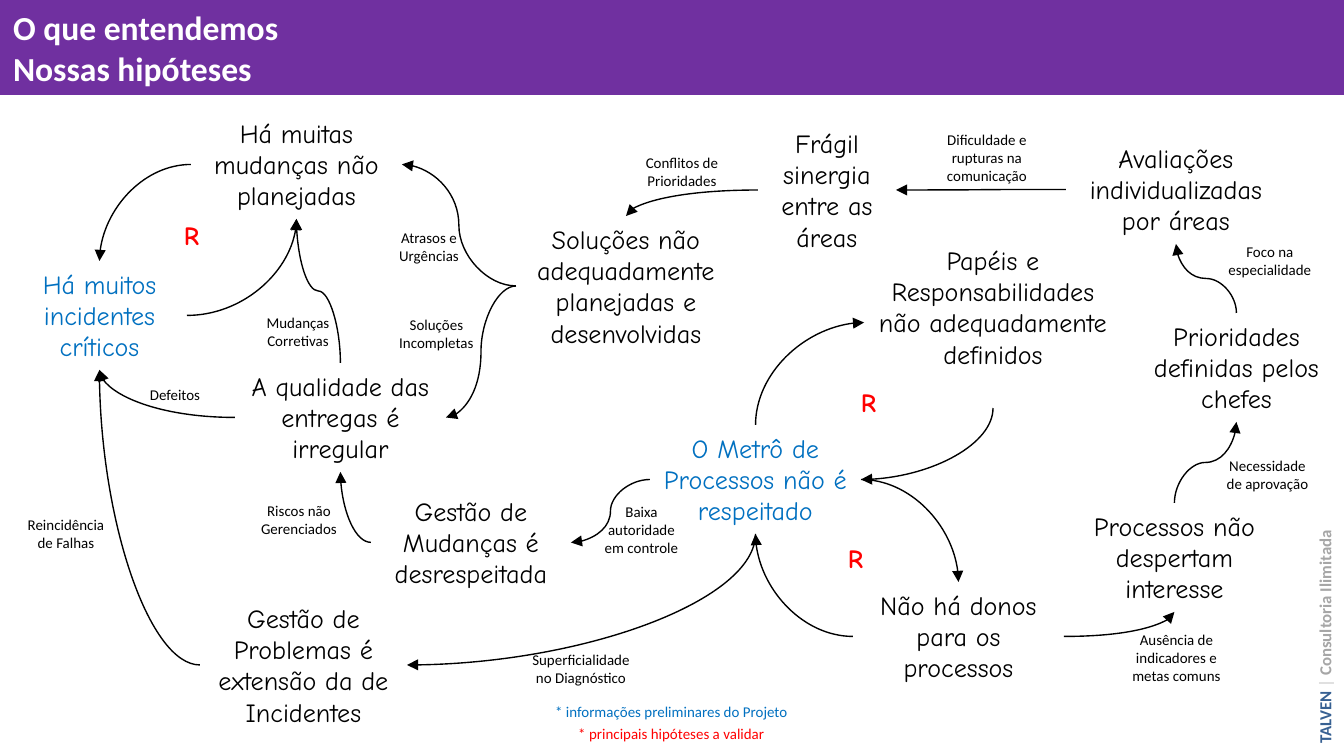
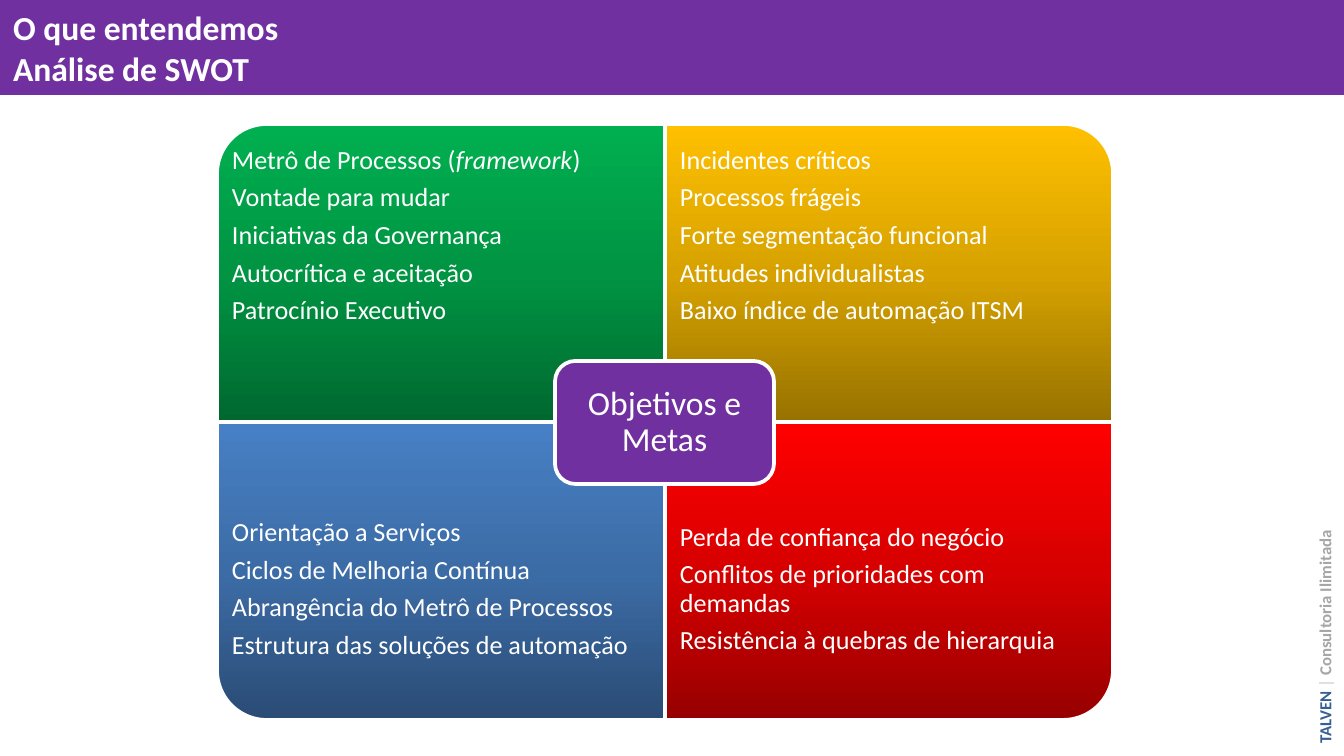
from lxml.etree import SubElement
from pptx import Presentation
from pptx.dml.color import RGBColor
from pptx.enum.shapes import MSO_CONNECTOR, MSO_SHAPE
from pptx.enum.text import MSO_ANCHOR, MSO_AUTO_SIZE, PP_ALIGN
from pptx.oxml import parse_xml
from pptx.oxml.ns import nsdecls, qn
from pptx.util import Inches, Pt

PX = Inches(10) / 1344

PURPLE = RGBColor(0x70, 0x30, 0xA0)
WHITE = RGBColor(0xFF, 0xFF, 0xFF)
BLACK = RGBColor(0, 0, 0)
BLUE = RGBColor(0x00, 0x70, 0xC0)
RED = RGBColor(0xFF, 0, 0)
NAVY = RGBColor(0x37, 0x60, 0x92)
LIGHT_GREY = RGBColor(0xD9, 0xD9, 0xD9)
GREY = RGBColor(0xA6, 0xA6, 0xA6)

SANS = "Calibri"
HAND = "Comic Neue"

# Content shared by the slides
SECTION = "O que entendemos"
FOOTER = [[("TALVEN ", {"color": NAVY}), ("| ", {"color": LIGHT_GREY}),
           ("Consultoria Ilimitada", {"color": GREY})]]

# Slide 1: concepts as name: (text, left, top, width, lines, colour)
CONCEPTS = {
    "incidentes": ("Há muitos incidentes críticos", 12, 261, 175, 3, BLUE),
    "mudanças": ("Há muitas mudanças não planejadas", 191, 110, 211, 3, BLACK),
    "metrô": ("O Metrô de Processos não é respeitado", 650, 425, 211, 3, BLUE),
    "papéis": ("Papéis e Responsabilidades não adequadamente definidos",
               864, 237, 258, 5, BLACK),
    "soluções": ("Soluções não adequadamente planejadas e desenvolvidas",
                 516, 216, 220, 4, BLACK),
    "qualidade": ("A qualidade das entregas é irregular", 235, 363, 211, 3, BLACK),
    "donos": ("Não há donos para os processos", 853, 582, 211, 3, BLACK),
    "problemas": ("Gestão de Problemas é extensão da de Incidentes",
                  200, 595, 207, 4, BLACK),
    "gestão": ("Gestão de Mudanças é\ndesrespeitada", 371, 488, 200, 3, BLACK),
    "sinergia": ("Frágil sinergia entre as áreas", 758, 120, 138, 4, BLACK),
    "interesse": ("Processos não despertam interesse", 1050, 503, 249, 3, BLACK),
    "prioridades": ("Prioridades definidas pelos chefes", 1129, 313, 215, 3, BLACK),
    "avaliações": ("Avaliações individualizadas por áreas", 1066, 135, 220, 3, BLACK),
}

# Arrows: from concept and side, to concept and side
ARROWS = [
    ("incidentes", "right", "mudanças", "bottom"),
    ("mudanças", "left", "incidentes", "top"),
    ("papéis", "bottom", "metrô", "right"),
    ("soluções", "left", "qualidade", "right"),
    ("qualidade", "left", "incidentes", "bottom"),
    ("qualidade", "top", "mudanças", "bottom"),
    ("donos", "left", "metrô", "bottom"),
    ("donos", "right", "interesse", "bottom"),
    ("metrô", "left", "gestão", "right"),
    ("problemas", "left", "incidentes", "bottom"),
    ("metrô", "bottom", "problemas", "right"),
    ("gestão", "left", "qualidade", "bottom"),
    ("metrô", "top", "papéis", "left"),
    ("soluções", "left", "mudanças", "right"),
    ("avaliações", "left", "sinergia", "right"),
    ("sinergia", "left", "soluções", "top"),
    ("metrô", "right", "donos", "top"),
    ("interesse", "top", "prioridades", "bottom"),
    ("prioridades", "top", "avaliações", "bottom"),
]

# Labels: (text, left, top, width, lines, colour)
LABELS = [
    ("Mudanças Corretivas", 252, 307, 92, 2, BLACK),
    ("Defeitos", 129, 379, 92, 1, BLACK),
    ("Atrasos e Urgências", 383, 222, 92, 2, BLACK),
    ("Riscos não Gerenciados", 244, 495, 110, 2, BLACK),
    ("Reincidência de Falhas", 11, 509, 110, 2, BLACK),
    ("Dificuldade e rupturas na comunicação", 928, 124, 118, 3, BLACK),
    ("Soluções\nIncompletas", 383, 309, 107, 2, BLACK),
    ("Baixa autoridade em controle", 588, 496, 107, 3, BLACK),
    ("Superficialidade no Diagnóstico", 516, 644, 130, 2, BLACK),
    ("Conflitos de Prioridades", 620, 147, 124, 2, BLACK),
    ("Foco na especialidade", 1203, 236, 134, 2, BLACK),
    ("Necessidade de aprovação", 1207, 450, 121, 2, BLACK),
    ("Ausência de indicadores e metas comuns", 1116, 624, 121, 3, BLACK),
    ("* informações preliminares do Projeto", 497, 696, 349, 1, BLUE),
    ("* principais hipóteses a validar", 497, 718, 349, 1, RED),
]
REINFORCING_LOOPS = [(164, 212), (841, 379), (828, 535)]

# Slide 2: quadrants as (column, row, rotation, gradient from bottom to top, items)
QUADRANTS = [
    (0, 0, 270, ("00682F", "009443", "00B050"),
     [["Metrô de Processos (", ("framework", {"italic": True}), ")"],
      "Vontade para mudar", "Iniciativas da Governança",
      "Autocrítica e aceitação", "Patrocínio Executivo"]),
    (1, 0, 0, ("977200", "D7A200", "FFC000"),
     ["Incidentes críticos", "Processos frágeis", "Forte segmentação funcional",
      "Atitudes individualistas", "Baixo índice de automação ITSM"]),
    (0, 1, 180, ("2A4C75", "3C6CA6", "4780C5"),
     ["Orientação a Serviços", "Ciclos de Melhoria Contínua",
      "Abrangência do Metrô de Processos", "Estrutura das soluções de automação"]),
    (1, 1, 90, ("970000", "D70000", "FF0000"),
     ["Perda de confiança do negócio", "Conflitos de prioridades com demandas",
      "Resistência à quebras de hierarquia"]),
]
GOAL = "Objetivos e Metas"


def emu(*lengths):
    return [round(n * PX) for n in lengths]


def write(sp, text, size, font=SANS, color=BLACK, bold=False, align=PP_ALIGN.LEFT,
          anchor=MSO_ANCHOR.TOP, inset=(13, 7), spacing=None, after=None):
    """Fill a shape with text: a string, or a list of paragraphs made of runs."""
    tf = sp.text_frame
    tf.word_wrap, tf.auto_size = True, MSO_AUTO_SIZE.NONE
    tf.vertical_anchor = anchor
    tf.margin_left = tf.margin_right = emu(inset[0])[0]
    tf.margin_top = tf.margin_bottom = emu(inset[1])[0]
    paragraphs = text.split("\n") if isinstance(text, str) else text
    for i, runs in enumerate(paragraphs):
        p = tf.paragraphs[0] if i == 0 else tf.add_paragraph()
        p.alignment = align
        if spacing:
            p.line_spacing = spacing
        if after:
            p.space_after = Pt(after)
        for run in [runs] if isinstance(runs, str) else runs:
            words, own = (run, {}) if isinstance(run, str) else run
            r = p.add_run()
            r.text = words
            r.font.name, r.font.size, r.font.bold = font, Pt(size), bold
            r.font.italic = own.get("italic", False)
            r.font.color.rgb = own.get("color", color)


def add_text(s, box, text, size, **fmt):
    sp = s.shapes.add_textbox(*emu(*box))
    write(sp, text, size, **fmt)
    return sp


def add_outlined(s, kind, box):
    sp = s.shapes.add_shape(kind, *emu(*box))
    sp.shadow.inherit = False
    sp.line.color.rgb, sp.line.width = WHITE, Pt(2)
    return sp


def add_slide(prs, subtitle):
    s = prs.slides.add_slide(prs.slide_layouts[5])
    title = s.shapes.title
    title.left, title.top, title.width, title.height = emu(0, 0, 1344, 95)
    title.fill.solid()
    title.fill.fore_color.rgb = PURPLE
    write(title, [SECTION, subtitle], 18, color=WHITE, bold=True,
          anchor=MSO_ANCHOR.MIDDLE)
    add_text(s, (1195, 610, 259, 34), FOOTER, 9, bold=True).rotation = 270
    return s


def concept_side(name, side):
    _, x, y, w, lines, _ = CONCEPTS[name]
    h = concept_height(lines)
    return {"left": (x, y + h / 2), "right": (x + w, y + h / 2),
            "top": (x + w / 2, y), "bottom": (x + w / 2, y + h)}[side]


def concept_height(lines):
    return 31 * lines + 16


def add_arrow(s, start, start_side, end, end_side):
    x1, y1 = concept_side(start, start_side)
    x2, y2 = concept_side(end, end_side)
    start_upright, end_upright = (side in ("top", "bottom")
                                  for side in (start_side, end_side))
    if start_upright:
        # Curves leave sideways, so lay this one down and turn it by 90 degrees
        cx, cy, dx, dy = (x1 + x2) / 2, (y1 + y2) / 2, x2 - x1, y2 - y1
        x1, y1, x2, y2 = cx - dy / 2, cy + dx / 2, cx + dy / 2, cy - dx / 2
    line = s.shapes.add_connector(MSO_CONNECTOR.CURVE, *emu(x1, y1, x2, y2))
    line.line.color.rgb, line.line.width = BLACK, Pt(0.75)
    sp_pr = line._element.spPr
    if start_upright:
        sp_pr.find(qn("a:xfrm")).set("rot", str(90 * 60000))
    if start_upright != end_upright:
        sp_pr.find(qn("a:prstGeom")).set("prst", "curvedConnector2")
    SubElement(sp_pr.find(qn("a:ln")), qn("a:tailEnd"), type="triangle")
    SubElement(sp_pr, qn("a:effectLst"))


def set_gradient(sp, colors):
    """Upright gradient that stays put when the shape is rotated."""
    stops = "".join(f'<a:gs pos="{i * 50000}"><a:srgbClr val="{c}"/></a:gs>'
                    for i, c in enumerate(colors))
    fill = parse_xml(f'<a:gradFill {nsdecls("a")} rotWithShape="0"><a:gsLst>{stops}'
                     '</a:gsLst><a:lin ang="16200000" scaled="0"/></a:gradFill>')
    sp._element.spPr.find(qn("a:prstGeom")).addnext(fill)


def build_hypotheses(prs):
    s = add_slide(prs, "Nossas hipóteses")
    for text, x, y, w, lines, color in CONCEPTS.values():
        add_text(s, (x, y, w, concept_height(lines)), text, 14, font=HAND,
                 color=color, align=PP_ALIGN.CENTER)
    for arrow in ARROWS:
        add_arrow(s, *arrow)
    for text, x, y, w, lines, color in LABELS:
        add_text(s, (x, y, w, 17 * lines + 15), text, 8, color=color,
                 align=PP_ALIGN.CENTER)
    for x, y in REINFORCING_LOOPS:
        add_text(s, (x, y, 55, 46), "R", 14, font=HAND, color=RED, bold=True,
                 align=PP_ALIGN.CENTER)


def build_swot(prs):
    s = add_slide(prs, "Análise de SWOT")
    left, top, w, h = 217, 124, 448, 298
    text_heights = (224, 187)
    for col, row, rotation, colors, items in QUADRANTS:
        x, y = left + col * w, top + row * h
        # A quarter turn swaps the sides around the same centre
        turn = (w - h) / 2 if rotation % 180 else 0
        sp = add_outlined(s, MSO_SHAPE.ROUND_1_RECTANGLE,
                          (x + turn, y - turn, w - 2 * turn, h + 2 * turn))
        sp.rotation = rotation
        set_gradient(sp, colors)
        text_top = y + row * (h - text_heights[0])
        add_text(s, (x, text_top, w, text_heights[row]), items, 14, color=WHITE,
                 anchor=MSO_ANCHOR.MIDDLE, inset=(15, 15), spacing=0.9, after=5)
    goal = add_outlined(s, MSO_SHAPE.ROUNDED_RECTANGLE, (555, 361, 219, 123))
    goal.fill.solid()
    goal.fill.fore_color.rgb = PURPLE
    write(goal, GOAL, 18, color=WHITE, align=PP_ALIGN.CENTER,
          anchor=MSO_ANCHOR.MIDDLE, inset=(9, 9), spacing=0.9)


def main():
    prs = Presentation()
    prs.slide_width, prs.slide_height = emu(1344, 756)
    build_hypotheses(prs)
    build_swot(prs)
    prs.save("out.pptx")


if __name__ == "__main__":
    main()
